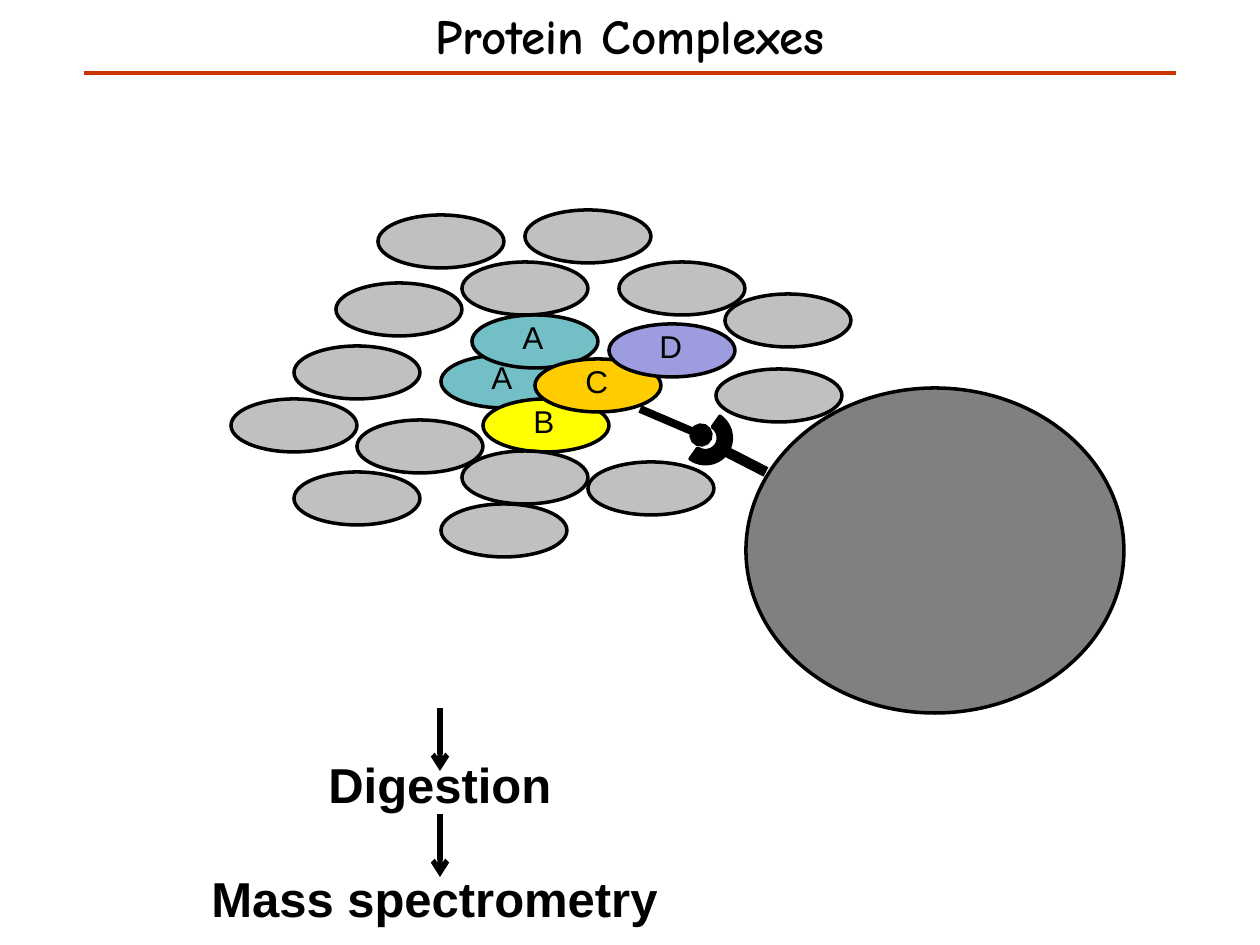
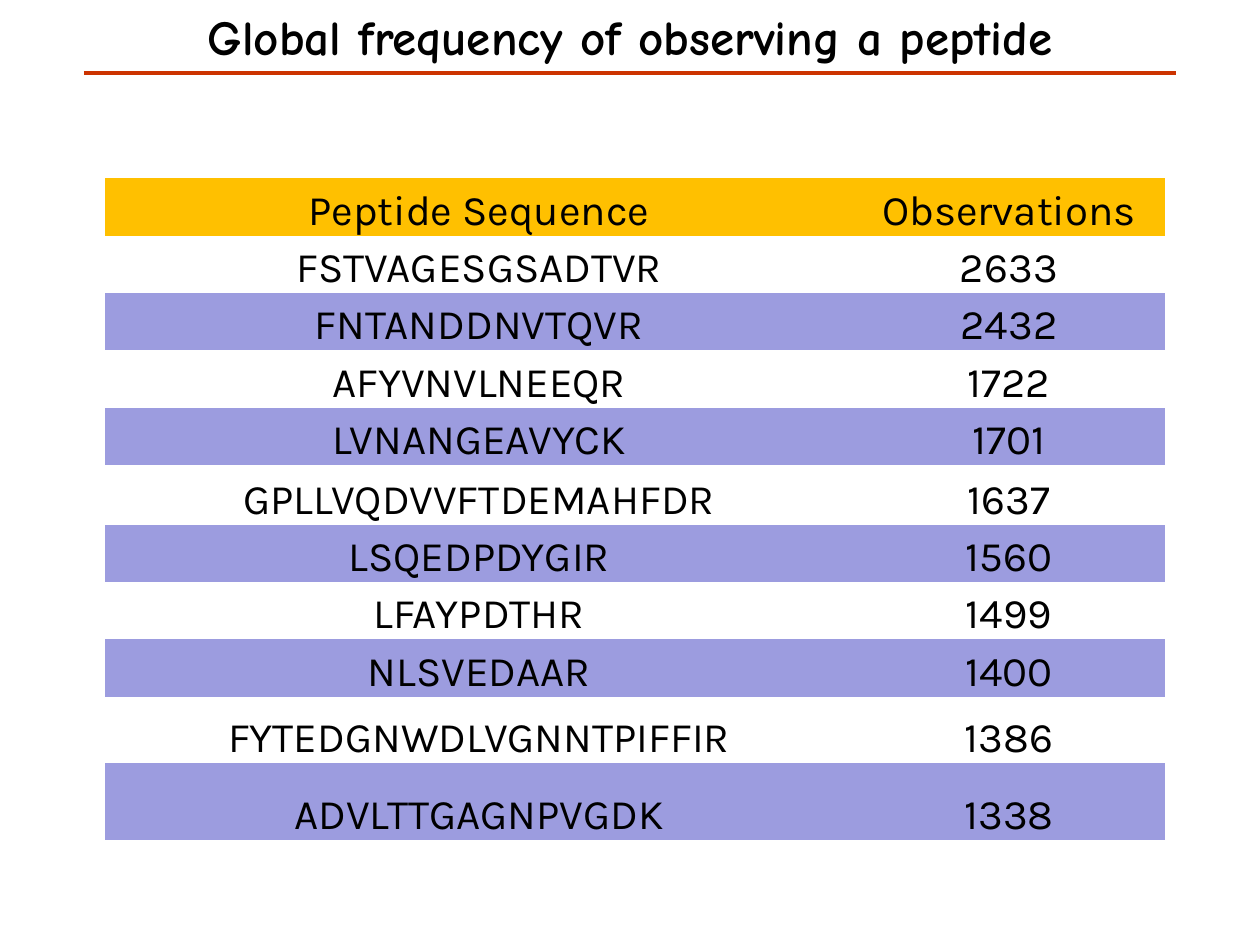
from lxml.etree import SubElement
from pptx import Presentation
from pptx.dml.color import RGBColor
from pptx.enum.shapes import MSO_CONNECTOR, MSO_SHAPE
from pptx.enum.text import MSO_ANCHOR as ANCHOR, MSO_AUTO_SIZE as AUTO, PP_ALIGN as ALIGN
from pptx.oxml.ns import qn
from pptx.util import Pt

EMU_PER_PX = 914400 / 126
WIDTH, HEIGHT = 1260, 945

BLACK = RGBColor(0x00, 0x00, 0x00)
RED = RGBColor(0xCC, 0x33, 0x00)
TEAL = RGBColor(0x72, 0xBF, 0xC5)
YELLOW = RGBColor(0xFF, 0xFF, 0x00)
GOLD = RGBColor(0xFF, 0xCC, 0x00)
AMBER = RGBColor(0xFF, 0xC0, 0x00)
LILAC = RGBColor(0x9C, 0x9C, 0xDF)
SILVER = RGBColor(0xC0, 0xC0, 0xC0)
GREY = RGBColor(0x80, 0x80, 0x80)

TITLE_FONT, BODY_FONT, TABLE_FONT = "Comic Neue", "Arial", "Karla"
NO_TABLE_STYLE = "{2D5ABB26-0587-4C30-8999-92F81FD0307C}"

PROTEIN_W, PROTEIN_H = 126, 53
COMPLEX = [
    ("A", 441, 355, TEAL),
    ("B", 483, 399, YELLOW),
    ("A", 472, 315, TEAL),
    ("C", 535, 359, GOLD),
    ("D", 609, 324, LILAC),
]
OTHER_PROTEINS = [
    (357, 420), (294, 346), (336, 283), (462, 262), (462, 451), (619, 262), (716, 369),
    (525, 210), (725, 294), (588, 462), (231, 399), (294, 472), (378, 215), (441, 504),
]
PEPTIDES = [
    ("Peptide Sequence", "Observations"),
    ("FSTVAGESGSADTVR", "2633"),
    ("FNTANDDNVTQVR", "2432"),
    ("AFYVNVLNEEQR", "1722"),
    ("LVNANGEAVYCK", "1701"),
    ("GPLLVQDVVFTDEMAHFDR", "1637"),
    ("LSQEDPDYGIR", "1560"),
    ("LFAYPDTHR", "1499"),
    ("NLSVEDAAR", "1400"),
    ("FYTEDGNWDLVGNNTPIFFIR", "1386"),
    ("ADVLTTGAGNPVGDK", "1338"),
]
COLUMN_WIDTHS = (748, 312)
ROW_HEIGHTS = (58, 57, 57, 58, 57, 60, 57, 57, 58, 66, 77)


def px(*lengths):
    return [round(n * EMU_PER_PX) for n in lengths]


class Deck:
    def __init__(self):
        self.prs = Presentation()
        self.prs.slide_width, self.prs.slide_height = px(WIDTH, HEIGHT)
        self.s = None

    def add_text(self, tf, text, font, size, bold=False, align=ALIGN.LEFT):
        p = tf.paragraphs[0]
        p.alignment = align
        r = p.add_run()
        r.text = text
        r.font.name, r.font.size, r.font.bold = font, Pt(size), bold
        r.font.color.rgb = BLACK
        return p

    def slide(self, title, top, height, inset, spacing):
        """Start a slide with its centred title and the red rule."""
        self.s = self.prs.slides.add_slide(self.prs.slide_layouts[5])
        sp = self.s.shapes.title
        sp.left, sp.top, sp.width, sp.height = px(0, top, WIDTH, height)
        tf = sp.text_frame
        tf.auto_size, tf.word_wrap, tf.vertical_anchor = AUTO.NONE, True, ANCHOR.TOP
        tf.margin_left, tf.margin_right, tf.margin_top, tf.margin_bottom = px(*[inset] * 4)
        p = self.add_text(tf, title, TITLE_FONT, 28, True, ALIGN.CENTER)
        p.line_spacing = spacing
        self.line(84, 73, 1176, 73, 2.5, RED)

    def line(self, x1, y1, x2, y2, weight, color=BLACK, tail=None):
        c = self.s.shapes.add_connector(MSO_CONNECTOR.STRAIGHT, *px(x1, y1, x2, y2))
        c.line.color.rgb, c.line.width = color, Pt(weight)
        spPr = c.element.spPr
        if tail:
            SubElement(spPr.find(qn("a:ln")), qn("a:tailEnd"), type=tail)
        SubElement(spPr, qn("a:effectLst"))

    def shape(self, x, y, w, h, fill, kind=MSO_SHAPE.OVAL, rotation=0):
        sp = self.s.shapes.add_shape(kind, *px(x, y, w, h))
        sp.shadow.inherit = False
        sp.rotation = rotation
        sp.fill.solid()
        sp.fill.fore_color.rgb = fill
        sp.line.color.rgb, sp.line.width = BLACK, Pt(2)

    def text(self, x, y, w, h, text, size, bold=False):
        tf = self.s.shapes.add_textbox(*px(x, y, w, h)).text_frame
        tf.word_wrap, tf.auto_size = False, AUTO.SHAPE_TO_FIT_TEXT
        self.add_text(tf, text, BODY_FONT, size, bold)

    def protein(self, x, y, fill=SILVER, label=None):
        self.shape(x, y, PROTEIN_W, PROTEIN_H, fill)
        if label:
            self.text(x + 38, y - 3, 47, 50, label, 18)

    def table(self, x, y, rows, widths, heights):
        frame = self.s.shapes.add_table(
            len(rows), len(widths), *px(x, y, sum(widths), sum(heights)))
        frame.element.find(".//" + qn("a:tableStyleId")).text = NO_TABLE_STYLE
        table = frame.table
        table.first_row = table.horz_banding = False
        for column, width in zip(table.columns, px(*widths)):
            column.width = width
        for row, height in zip(table.rows, px(*heights)):
            row.height = height
        for i, values in enumerate(rows):
            for j, value in enumerate(values):
                cell = table.cell(i, j)
                cell.margin_left = cell.margin_right = cell.margin_top = cell.margin_bottom = 0
                cell.vertical_anchor = ANCHOR.BOTTOM
                if i % 2:
                    cell.fill.background()
                else:
                    cell.fill.solid()
                    cell.fill.fore_color.rgb = LILAC if i else AMBER
                self.add_text(cell.text_frame, value, TABLE_FONT, 24, align=ALIGN.CENTER)


def protein_complexes(deck):
    deck.slide("Protein Complexes", 10, 176, 0, 0.95)
    for label, x, y, fill in COMPLEX:
        deck.protein(x, y, fill, label)
    deck.line(640, 409, 701, 435, 4.5, tail="oval")
    for x, y in OTHER_PROTEINS:
        deck.protein(x, y)

    # Bead with the arm that catches the tagged protein
    deck.shape(746, 388, 378, 325, GREY)
    deck.line(766, 472, 725, 451, 6)
    deck.shape(679, 411, 52, 53, BLACK, MSO_SHAPE.BLOCK_ARC, 125)

    deck.text(316, 748, 251, 72, "Digestion", 28, True)
    deck.text(199, 862, 478, 72, "Mass spectrometry", 28, True)
    for y in (708, 814):
        deck.line(440, y, 440, y + 63, 3, tail="arrow")


def peptide_frequency(deck):
    deck.slide("Global frequency of observing a peptide", 0, 72, 6, 1.0)
    deck.table(105, 178, PEPTIDES, COLUMN_WIDTHS, ROW_HEIGHTS)


def main():
    deck = Deck()
    protein_complexes(deck)
    peptide_frequency(deck)
    deck.prs.save("out.pptx")


if __name__ == "__main__":
    main()
